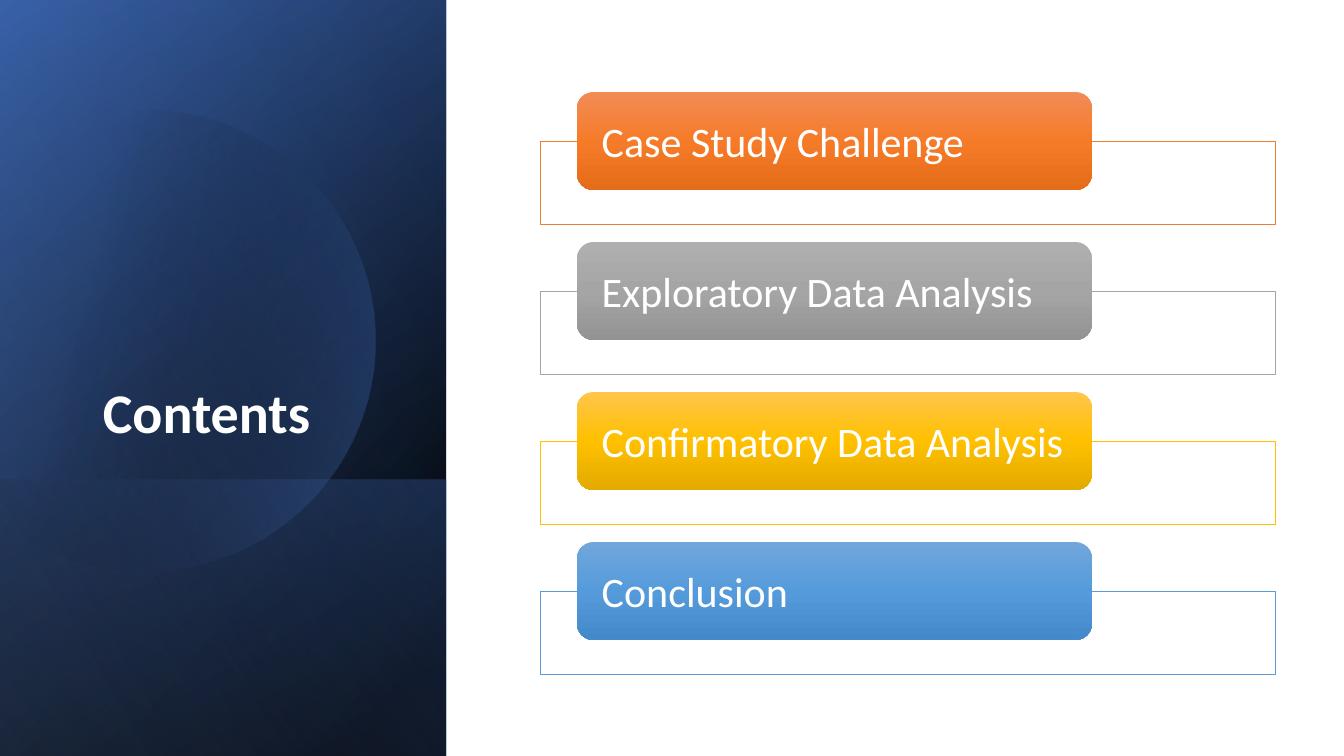
"""Build a contents slide with a gradient side panel and four agenda bars."""
from dataclasses import dataclass
from math import acos, cos, sin

from lxml.etree import SubElement
from pptx import Presentation
from pptx.dml.color import RGBColor as RGB
from pptx.enum.shapes import MSO_SHAPE as SHAPE
from pptx.enum.text import MSO_ANCHOR as ANCHOR, PP_ALIGN as ALIGN
from pptx.oxml.ns import qn
from pptx.shapes.autoshape import Shape
from pptx.slide import Slide
from pptx.text.text import TextFrame
from pptx.util import Pt

PX = 914400 / 100.8
FONT = "Calibri"
COLORS = {
    "white": "FFFFFF", "black": "000000", "navy": "2F5597",
    "blue": "4472C4", "pale": "8FAADC",
}
PITCH = 150


@dataclass(frozen=True)
class Stop:
    pos: int
    color: str
    alpha: int = 100


@dataclass(frozen=True)
class Panel:
    box: tuple[int, int, int, int]
    stops: tuple[Stop, ...]
    angle: int


@dataclass(frozen=True)
class Topic:
    text: str
    line: str
    shades: tuple[str, str, str]


FULL = (-155, 155, 756, 446)
BASE_PANELS = (
    Panel(FULL, (Stop(8, COLORS["black"]), Stop(100, COLORS["navy"])), 50),
    Panel(FULL, (Stop(0, COLORS["black"], 0), Stop(99, COLORS["blue"], 46)), 30),
    Panel((85, 395, 276, 446),
          (Stop(2, COLORS["blue"], 29), Stop(100, COLORS["black"], 30)), 130),
)
DISC_STOPS = (Stop(29, COLORS["black"], 0), Stop(100, COLORS["blue"], 43))
SHEEN = Panel(FULL, (Stop(0, COLORS["black"], 0), Stop(99, COLORS["pale"], 11)), 120)
TOPICS = (
    Topic("Case Study Challenge", "ED7D31", ("F18C57", "F67B28", "E56C19")),
    Topic("Exploratory Data Analysis", "A5A5A5", ("AFAFAF", "A5A5A5", "939393")),
    Topic("Confirmatory Data Analysis", "FFC000", ("FFC64B", "FFC000", "E3AB00")),
    Topic("Conclusion", "5B9BD5", ("71A6DB", "559BDB", "448ACA")),
)


def px(n: float) -> int:
    return round(n * PX)


def paint(sp: Shape, stops: tuple[Stop, ...], angle: int) -> None:
    sp.shadow.inherit = False
    sp.line.fill.background()
    sp.fill.gradient()
    grad = sp._element.spPr.find(qn("a:gradFill"))
    gs_list = grad.find(qn("a:gsLst"))
    gs_list.clear()
    for stop in stops:
        gs = SubElement(gs_list, qn("a:gs"), pos=str(stop.pos * 1000))
        clr = SubElement(gs, qn("a:srgbClr"), val=stop.color)
        if stop.alpha < 100:
            SubElement(clr, qn("a:alpha"), val=str(stop.alpha * 1000))
    lin = grad.find(qn("a:lin"))
    lin.set("ang", str(angle * 60000))
    lin.set("scaled", "0")


def add_box(s: Slide, kind: SHAPE, box: tuple[int, int, int, int]) -> Shape:
    return s.shapes.add_shape(kind, *map(px, box))


def add_panel(s: Slide, panel: Panel) -> None:
    sp = add_box(s, SHAPE.RECTANGLE, panel.box)
    sp.rotation = 90
    sp._element.spPr.xfrm.set("flipH", "1")
    paint(sp, panel.stops, panel.angle)


def add_disc(s: Slide, cx: int, cy: int, radius: int, cut: int) -> None:
    end = acos((cut - cx) / radius)
    steps = 120
    angles = [end * (2 * i / steps - 1) for i in range(steps + 1)]
    points = [(px(cx + radius * cos(a)), px(cy + radius * sin(a))) for a in angles]
    builder = s.shapes.build_freeform(*points[0])
    builder.add_line_segments(points[1:], close=True)
    paint(builder.convert_to_shape(), DISC_STOPS, 14)


def write(tf: TextFrame, text: str, size: int, bold: bool = False) -> None:
    tf.word_wrap = True
    p = tf.paragraphs[0]
    p.text = text
    font = p.runs[0].font
    font.name, font.size, font.bold = FONT, Pt(size), bold
    font.color.rgb = RGB.from_string(COLORS["white"])


def add_title(s: Slide) -> None:
    tf = s.shapes.add_textbox(*map(px, (53, 187, 267, 264))).text_frame
    write(tf, "Contents", 40, True)
    tf.vertical_anchor = ANCHOR.BOTTOM
    p = tf.paragraphs[0]
    p.alignment, p.line_spacing, p.space_after = ALIGN.RIGHT, 0.9, Pt(6)


def add_topic(s: Slide, topic: Topic, dy: int) -> None:
    frame = add_box(s, SHAPE.RECTANGLE, (540, 141 + dy, 735, 83))
    frame.shadow.inherit = False
    frame.fill.solid()
    frame.fill.fore_color.rgb = RGB.from_string(COLORS["white"])
    frame.line.color.rgb = RGB.from_string(topic.line)
    frame.line.width = Pt(0.5)

    bar = add_box(s, SHAPE.ROUNDED_RECTANGLE, (577, 92 + dy, 515, 98))
    paint(bar, tuple(Stop(50 * i, c) for i, c in enumerate(topic.shades)), 90)
    tf = bar.text_frame
    write(tf, topic.text, 30)
    tf.margin_left = tf.margin_right = px(20)
    tf.margin_top = tf.margin_bottom = 0
    tf.vertical_anchor = ANCHOR.MIDDLE
    tf.paragraphs[0].alignment = ALIGN.LEFT


def main() -> None:
    prs = Presentation()
    prs.slide_width, prs.slide_height = px(1344), px(756)
    s = prs.slides.add_slide(prs.slide_layouts[6])
    for panel in BASE_PANELS:
        add_panel(s, panel)
    add_disc(s, 144, 341, 231, -15)
    add_panel(s, SHEEN)
    add_title(s)
    for i, topic in enumerate(TOPICS):
        add_topic(s, topic, i * PITCH)
    prs.save("out.pptx")


if __name__ == "__main__":
    main()
